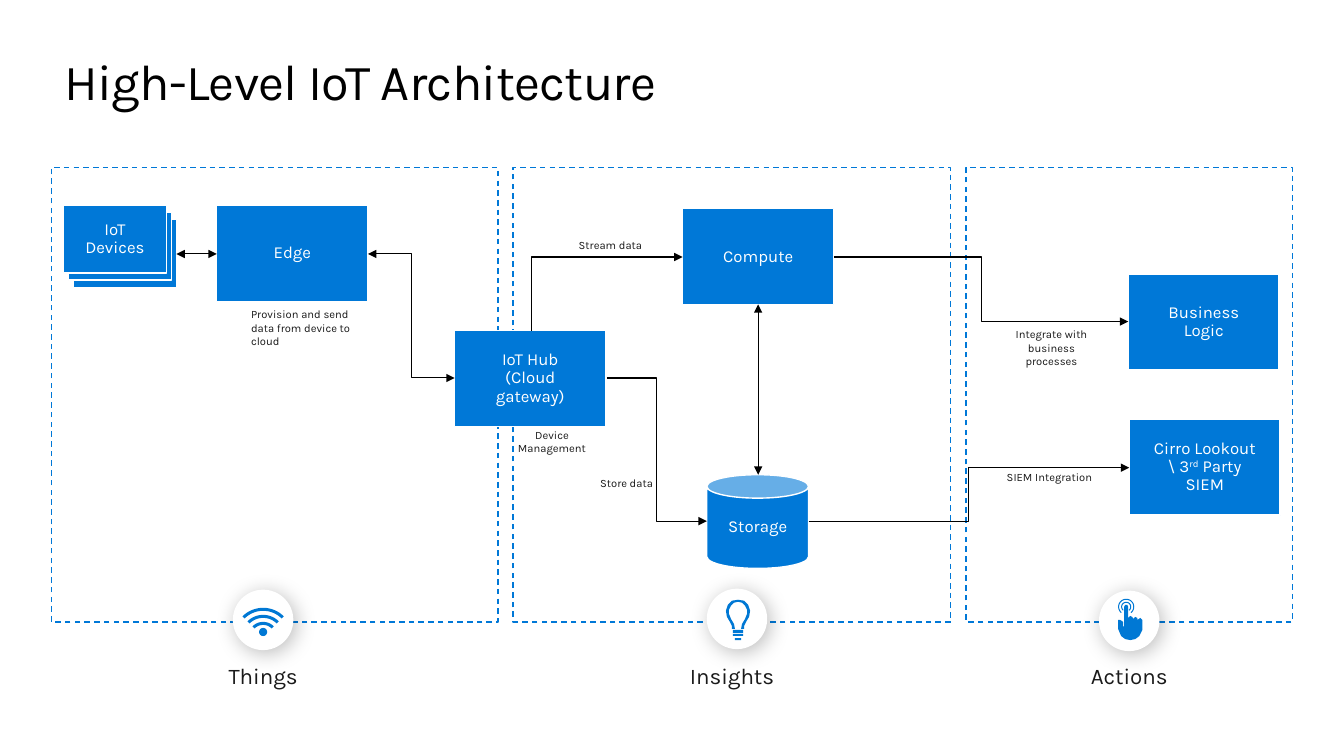
import math
from lxml import etree
from pptx import Presentation, util as u
from pptx.dml.color import RGBColor
from pptx.enum import dml, shapes, text
from pptx.oxml import ns

# Content: lengths in inches, boxes as (left, top, width, height)
FONT, BLUE, ICON_BLUE = "Karla", "0078D7", "0078D4"
BLACK, WHITE, INK = "000000", "FFFFFF", "1A1A1A"
RECT, CAN = shapes.MSO_SHAPE.RECTANGLE, shapes.MSO_SHAPE.CAN
LEFT, CENTER = text.PP_ALIGN.LEFT, text.PP_ALIGN.CENTER

TITLE = "High-Level IoT Architecture"
PANEL_TOP, PANEL_HEIGHT = 1.66, 4.51
PANELS = [(0.51, 4.43), (5.09, 4.34), (9.58, 3.24)]  # left, width
STAGES = [("Things", 2.61), ("Insights", 7.26), ("Actions", 11.2)]  # centre x
BADGES = [(2.31, 5.85), (7.01, 5.84), (10.9, 5.86)]
BADGE_SIZE = 0.6
NODE_W, NODE_H = 1.5, 0.95

# Each node: shape, box, line width, paragraphs of (run, baseline percent)
NODES = [
    (RECT, (4.51, 3.28, NODE_W, NODE_H), 1, [[("IoT Hub", 0)], [("(Cloud gateway)", 0)]]),
    (CAN, (7.01, 4.71, 1.01, 0.93), 1, [[("Storage", 0)]]),
    (RECT, (6.77, 2.07, NODE_W, NODE_H), 1, [[("Compute", 0)]]),
    (RECT, (11.19, 2.72, NODE_W, NODE_H), 1.5, [[("Business Logic", 0)]]),
    (RECT, (2.15, 2.04, NODE_W, NODE_H), 1, [[("Edge", 0)]]),
    (RECT, (11.2, 4.16, NODE_W, NODE_H), 1.5,
     [[("Cirro Lookout \\ 3", 0), ("rd", 30), (" Party SIEM", 0)]]),
]
DEVICES, DEVICE_BOX = [[("IoT Devices", 0)]], (0.63, 2.04, 1.02, 0.67)
DEVICE_STEP = (0.05, 0.07)

NOTES = [
    ("Provision and send data from device to cloud", (2.49, 3.05, 1.14, 0.27), LEFT),
    ("Device Management", (5.08, 4.25, 0.79, 0.27), CENTER),
    ("Store data", (5.86, 4.73, 0.71, 0.13), CENTER),
    ("Integrate with business processes", (9.93, 3.25, 1, 0.27), CENTER),
    ("SIEM Integration", (9.88, 4.67, 1.06, 0.13), CENTER),
    ("Stream data", (5.7, 2.36, 0.71, 0.13), CENTER),
]

# Each flow: preset, start, end, ends that carry an arrowhead
STRAIGHT, CORNER, ELBOW = "line", "bentConnector2", "bentConnector3"
FLOWS = [
    (ELBOW, (6.02, 3.75), (7.01, 5.17), ["tailEnd"]),
    (ELBOW, (8.02, 5.17), (11.2, 4.64), ["tailEnd"]),
    (STRAIGHT, (1.75, 2.52), (2.15, 2.52), ["headEnd", "tailEnd"]),
    (ELBOW, (3.65, 2.52), (4.51, 3.75), ["headEnd", "tailEnd"]),
    (CORNER, (6.77, 2.55), (5.27, 3.28), ["headEnd"]),
    (ELBOW, (8.27, 2.55), (11.19, 3.19), ["tailEnd"]),
    (STRAIGHT, (7.52, 3.02), (7.52, 4.71), ["headEnd", "tailEnd"]),
]

# Icon outlines
BULB_X = 7.32
BULB_HALF = [  # offset from the axis, y
    (0, 5.95), (0.06, 5.96), (0.1, 6), (0.12, 6.06), (0.11, 6.12),
    (0.08, 6.17), (0.06, 6.21), (0.06, 6.24), (0.03, 6.24), (0.04, 6.19),
    (0.07, 6.14), (0.09, 6.09), (0.09, 6.05), (0.07, 6.01), (0.04, 5.98), (0, 5.97)]
BULB_BARS = [(0.05, 6.25, 6.28), (0.05, 6.29, 6.31), (0.03, 6.33, 6.35)]
HAND = [
    (11.15, 6.02), (11.16, 6), (11.18, 6), (11.19, 6.02),
    (11.19, 6.13), (11.21, 6.11), (11.23, 6.12), (11.24, 6.14), (11.26, 6.12),
    (11.28, 6.13), (11.28, 6.15), (11.31, 6.13), (11.33, 6.15), (11.33, 6.25),
    (11.3, 6.31), (11.26, 6.34), (11.21, 6.35), (11.16, 6.34), (11.12, 6.31),
    (11.09, 6.24), (11.09, 6.15), (11.11, 6.15), (11.14, 6.17), (11.14, 6.22), (11.15, 6.21)]

deck = Presentation()
deck.slide_width, deck.slide_height = u.Inches(13.33), u.Inches(7.5)
page = deck.slides.add_slide(deck.slide_layouts[6])


def color(target, value):
    if hasattr(target, "solid"):
        target.solid()
        target = target.fore_color
    target.rgb = RGBColor.from_string(value)


def inches(values):
    return [u.Inches(value) for value in values]


def add_run(para, words, size, ink, baseline=0):
    span = para.add_run()
    span.text = words
    span.font.size, span.font.name = u.Pt(size), FONT
    color(span.font.color, ink)
    if baseline:
        span.font._element.set("baseline", str(baseline * 1000))
    return span


def set_margins(frame, across, down):
    frame.margin_left = frame.margin_right = u.Inches(across)
    frame.margin_top = frame.margin_bottom = u.Inches(down)
    frame.word_wrap = True


def add_label(words, box, size, ink=INK, align=CENTER):
    frame = page.shapes.add_textbox(*inches(box)).text_frame
    set_margins(frame, 0, 0)
    frame.auto_size = text.MSO_AUTO_SIZE.SHAPE_TO_FIT_TEXT
    frame.paragraphs[0].alignment = align
    return add_run(frame.paragraphs[0], words, size, ink)


def add_block(kind, box, fill=None, line=None, width=1):
    block = page.shapes.add_shape(kind, *inches(box))
    block.shadow.inherit = False
    if fill:
        color(block.fill, fill)
    else:
        block.fill.background()
    if line:
        color(block.line.color, line)
        block.line.width = u.Pt(width)
    else:
        block.line.fill.background()
    return block


def add_node(kind, box, width, paragraphs):
    frame = add_block(kind, box, BLUE, WHITE, width).text_frame
    set_margins(frame, 0.2, 0.16)
    frame.vertical_anchor = text.MSO_ANCHOR.MIDDLE
    for index, runs in enumerate(paragraphs):
        para = frame.add_paragraph() if index else frame.paragraphs[0]
        para.alignment, para.line_spacing = CENTER, 0.9
        for words, baseline in runs:
            add_run(para, words, 12, WHITE, baseline)


def add_flow(preset, start, end, heads):
    flow = page.shapes.add_connector(
        shapes.MSO_CONNECTOR.ELBOW, *inches(start), *inches(end))
    color(flow.line.color, BLACK)
    flow.line.width = u.Pt(0.75)
    properties = flow._element.spPr
    properties.find(ns.qn("a:prstGeom")).set("prst", preset)
    for head in heads:
        etree.SubElement(properties.find(ns.qn("a:ln")), ns.qn("a:" + head), type="triangle")
    etree.SubElement(properties, ns.qn("a:effectLst"))


def arc_band(x, y, outer, inner, half_angle):
    """Points of a ring sector that opens evenly to both sides of straight up."""
    angles = [math.radians(half_angle * step / 16) for step in range(-16, 17)]
    return [(x + radius * math.sin(turn), y - radius * math.cos(turn))
            for radius, order in ((outer, angles), (inner, angles[::-1])) for turn in order]


def add_icon(outlines):
    builder = None
    for outline in outlines:
        points = [inches(point) for point in outline]
        if builder is None:
            builder = page.shapes.build_freeform(*points[0])
        else:
            builder.move_to(*points[0])
        builder.add_line_segments(points[1:], close=True)
    icon = builder.convert_to_shape()
    icon.shadow.inherit = False
    color(icon.fill, ICON_BLUE)
    icon.line.fill.background()


# Title and dashed panels
title = add_label(TITLE, (0.64, 0.5, 12.05, 0.61), 36, BLACK, LEFT)
title.font._element.set("spc", "-50")
for left, width in PANELS:
    panel = add_block(RECT, (left, PANEL_TOP, width, PANEL_HEIGHT), None, BLUE)
    panel.line.dash_style = dml.MSO_LINE.DASH

# Nodes, with the devices as a stack
for node in NODES:
    add_node(*node)
for depth in (2, 1, 0):
    left, top, width, height = DEVICE_BOX
    box = (left + depth * DEVICE_STEP[0], top + depth * DEVICE_STEP[1], width, height)
    add_node(RECT, box, 1, [] if depth else DEVICES)

# Flows and their notes
for flow in FLOWS:
    add_flow(*flow)
for words, box, align in NOTES:
    add_label(words, box, 8, align=align)

# Stage names and badges
for name, center in STAGES:
    add_label(name, (center - 0.95 / 2, 6.57, 0.95, 0.27), 16)
for left, top in BADGES:
    badge = add_block(shapes.MSO_SHAPE.OVAL, (left, top, BADGE_SIZE, BADGE_SIZE), WHITE)
    effects = badge._element.spPr.find(ns.qn("a:effectLst"))
    shadow = etree.SubElement(effects, ns.qn("a:outerShdw"), blurRad=str(u.Pt(15)),
                              dist=str(u.Pt(3)), dir="2700000", algn="tl", rotWithShape="0")
    tint = etree.SubElement(shadow, ns.qn("a:srgbClr"), val=BLACK)
    etree.SubElement(tint, ns.qn("a:alpha"), val="25000")

# Icons: wireless signal, light bulb, touching hand
add_icon([arc_band(2.61, 6.32, radius, radius - 0.03, 45) for radius in (0.29, 0.22, 0.15)]
         + [arc_band(2.61, 6.27, 0.04, 0, 180)])
add_icon([[(BULB_X + dx, y) for dx, y in BULB_HALF] + [(BULB_X - dx, y) for dx, y in BULB_HALF[::-1]]]
         + [[(BULB_X - half, top), (BULB_X + half, top), (BULB_X + half, bottom), (BULB_X - half, bottom)]
            for half, top, bottom in BULB_BARS])
add_icon([HAND] + [arc_band(11.17, 6.02, outer, outer - 0.01, 140) for outer in (0.08, 0.05)])

deck.save("out.pptx")
